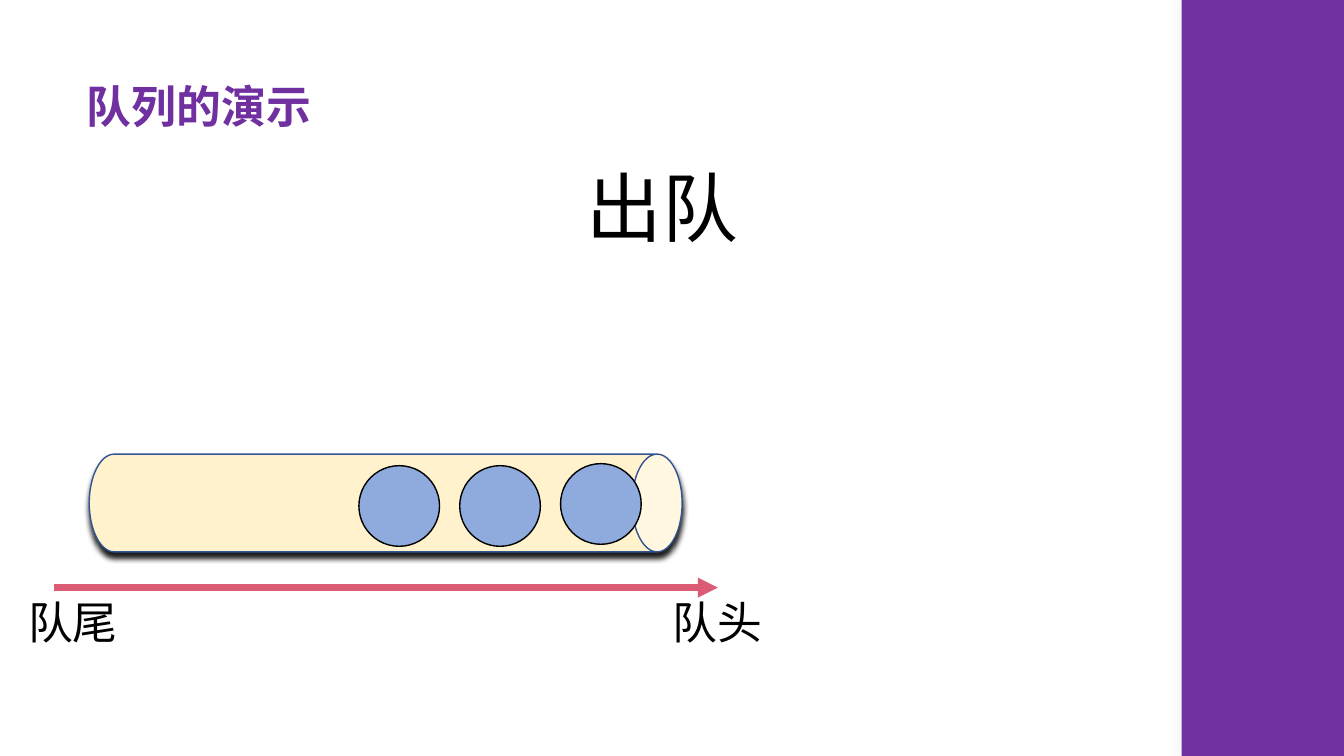
from lxml import etree
from pptx import Presentation
from pptx.dml.color import RGBColor
from pptx.enum import shapes, text
from pptx.oxml import ns
from pptx.util import Inches, Pt

COLORS = {
    "purple": "7030A0", "cream": "FFF2CC", "tube_edge": "325491",
    "arrow": "DC5B74", "ball": "8FAADC", "black": "000000", "glow": "D5D7D5",
}
FONT = "Noto Sans CJK SC"


def write(box, wording, size, color, font, bold=False):
    frame = box.text_frame
    frame.text = wording
    frame.word_wrap = False
    frame.auto_size = text.MSO_AUTO_SIZE.SHAPE_TO_FIT_TEXT
    frame.vertical_anchor = text.MSO_ANCHOR.TOP
    frame.paragraphs[0].alignment = text.PP_ALIGN.LEFT
    run = frame.paragraphs[0].runs[0]
    run.font.size, run.font.bold, run.font.name = Pt(size), bold, font
    run.font.color.rgb = RGBColor.from_string(COLORS[color])
    etree.SubElement(run.font._element, ns.qn("a:ea"), typeface=FONT)


def add_solid(kind, place, fill, line=None, shadow=None):
    """Add a filled shape; shadow is (color, opacity %, blur pt, distance pt, degrees)."""
    solid = slide.shapes.add_shape(kind, *map(Inches, place))
    solid.fill.solid()
    solid.fill.fore_color.rgb = RGBColor.from_string(COLORS[fill])
    if line:
        solid.line.color.rgb = RGBColor.from_string(COLORS[line])
        solid.line.width = Pt(1)
    else:
        solid.line.fill.background()
    solid.shadow.inherit = False
    if shadow:
        color, opacity, blur, distance, angle = shadow
        effects = solid._element.spPr.find(ns.qn("a:effectLst"))
        outer = etree.SubElement(
            effects, ns.qn("a:outerShdw"), blurRad=str(Pt(blur)), dist=str(Pt(distance)),
            dir=str(angle * 60000), algn="ctr", rotWithShape="0")
        tint = etree.SubElement(outer, ns.qn("a:srgbClr"), val=COLORS[color])
        etree.SubElement(tint, ns.qn("a:alpha"), val=str(opacity * 1000))
    return solid


prs = Presentation()
prs.slide_width, prs.slide_height = Inches(13.33), Inches(7.5)
slide = prs.slides.add_slide(prs.slide_layouts[5])

title = slide.shapes.title
title.left, title.top, title.width, title.height = map(Inches, (0.76, 0.73, 2.45, 0.64))
write(title, "队列的演示", 32, "purple", "Arial", bold=True)

add_solid(shapes.MSO_SHAPE.RECTANGLE, (11.72, 0, 1.61, 7.5), "purple",
          shadow=("glow", 40, 10, 0, 0))

tube = add_solid(shapes.MSO_SHAPE.CAN, (3.34, 2.05, 0.97, 5.88), "cream", "tube_edge",
                 shadow=("black", 87, 4, 4, 90))
tube.rotation = 90
tube.adjustments[0] = 0.511

direction = slide.shapes.add_connector(
    shapes.MSO_CONNECTOR.STRAIGHT, Inches(0.54), Inches(5.83), Inches(7.12), Inches(5.83))
direction.line.color.rgb = RGBColor.from_string(COLORS["arrow"])
direction.line.width = Pt(4.75)
etree.SubElement(direction.line._get_or_add_ln(), ns.qn("a:tailEnd"), type="triangle")
etree.SubElement(direction._element.spPr, ns.qn("a:effectLst"))

for left, top in ((5.56, 4.6), (4.56, 4.62), (3.56, 4.62)):
    add_solid(shapes.MSO_SHAPE.OVAL, (left, top, 0.8, 0.8), "ball", "black")

for wording, size, place in (
    ("出队", 54, (5.72, 1.55, 1.72, 1.01)),
    ("队头", 32, (6.57, 5.85, 1.1, 0.64)),
    ("队尾", 32, (0.18, 5.85, 1.1, 0.64)),
):
    label = slide.shapes.add_textbox(*map(Inches, place))
    write(label, wording, size, "black", FONT)

prs.save("out.pptx")
